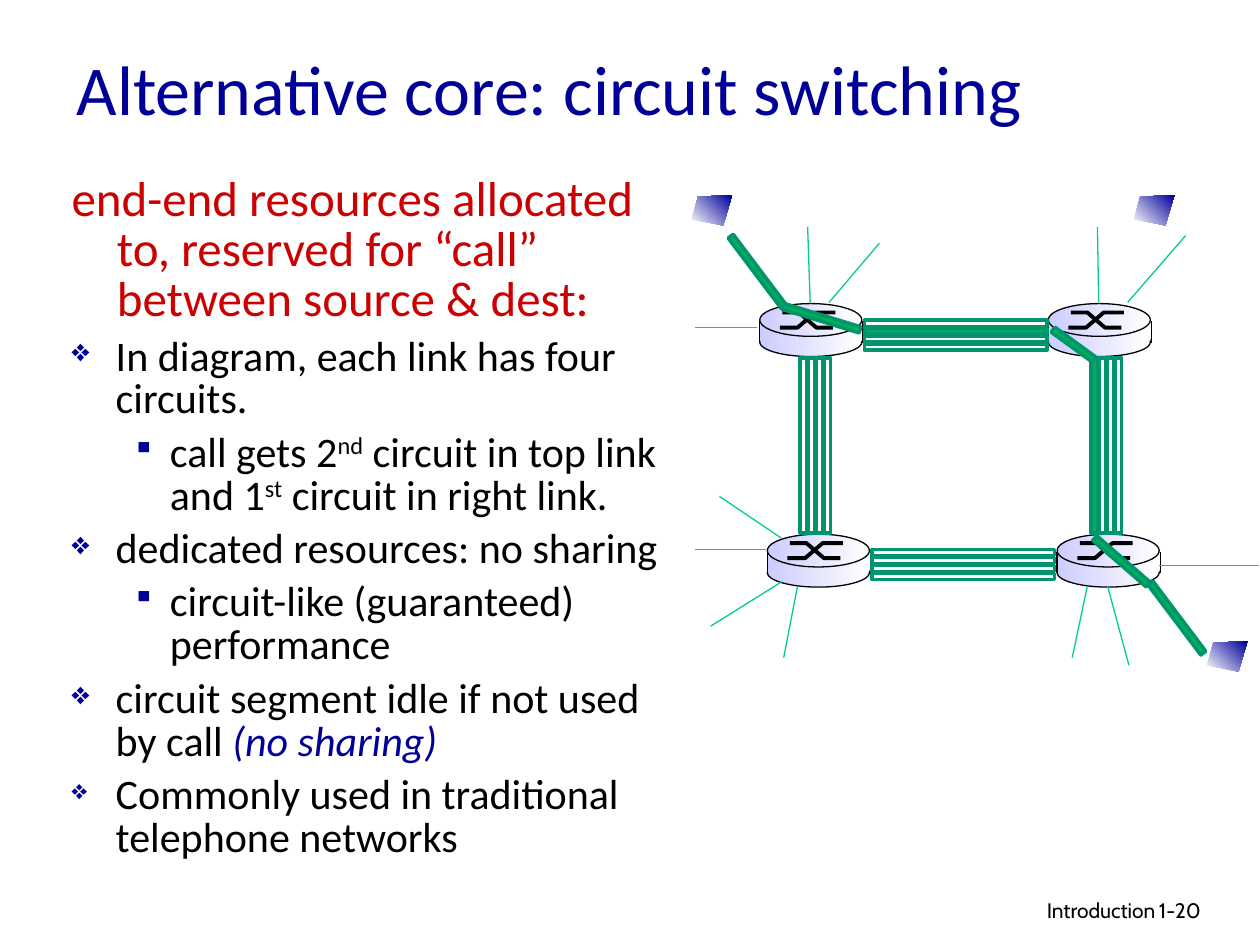
import dataclasses

import pptx
import pptx.dml.color
import pptx.enum.shapes
import pptx.enum.text
import pptx.oxml.ns
import pptx.util
from lxml import etree

Inches = pptx.util.Inches
Pt = pptx.util.Pt
Shapes = pptx.enum.shapes.MSO_SHAPE
Align = pptx.enum.text.PP_ALIGN
Anchor = pptx.enum.text.MSO_ANCHOR
qn = pptx.oxml.ns.qn


@dataclasses.dataclass
class Theme:
    navy: str = "000099"
    red: str = "CC0000"
    black: str = "000000"
    white: str = "FFFFFF"
    lavender: str = "CCCCFF"
    link: str = "00956F"
    reserved: str = "00B050"
    access: str = "00CC98"
    font: str = "Calibri"
    footer_font: str = "Cabin"
    title_size: float = 40
    lead_size: float = 28
    body_size: float = 24
    footer_size: float = 12


def rgb(color):
    return pptx.dml.color.RGBColor.from_string(color)


class Deck:
    def __init__(self, theme):
        self.theme = theme
        self.presentation = pptx.Presentation()
        self.presentation.slide_width = Inches(10)
        self.presentation.slide_height = Inches(7.5)
        self.slide = self.presentation.slides.add_slide(self.presentation.slide_layouts[6])

    def text_frame(self, left, top, width, height, anchor=Anchor.TOP):
        box = self.slide.shapes.add_textbox(*map(Inches, (left, top, width, height)))
        frame = box.text_frame
        frame.word_wrap = True
        frame.vertical_anchor = anchor
        return frame

    def run(self, paragraph, words, size, color, font=None, italic=False, raised=False):
        run = paragraph.add_run()
        run.text = words
        run.font.size = Pt(size)
        run.font.name = font or self.theme.font
        run.font.color.rgb = rgb(color)
        run.font.italic = italic
        if raised:
            run._r.get_or_add_rPr().set("baseline", "30000")

    def indent(self, paragraph, left, hanging, before):
        paragraph.line_spacing = 0.85
        paragraph.space_before = Pt(before)
        properties = paragraph._p.get_or_add_pPr()
        properties.set("marL", str(Inches(left)))
        properties.set("indent", str(-Inches(hanging)))
        return properties

    def bullet(self, paragraph, level, percent):
        left, hanging, mark = ((0.37, 0.35, "❖"), (0.8, 0.3, "▪"))[level]
        paragraph.level = level
        properties = self.indent(paragraph, left, hanging, 6)
        color = etree.SubElement(properties, qn("a:buClr"))
        etree.SubElement(color, qn("a:srgbClr"), val=self.theme.navy)
        etree.SubElement(properties, qn("a:buSzPct"), val=str(percent * 1000))
        etree.SubElement(properties, qn("a:buChar"), char=mark)

    def paint(self, shape, fill=None, line=None, weight=0.75, gradient=None):
        shape.shadow.inherit = False
        if gradient:
            end_color, angle = gradient
            shape.fill.gradient()
            shape.fill.gradient_angle = angle
            for stop, color, position in zip(
                shape.fill.gradient_stops, (self.theme.white, end_color), (0, 1)
            ):
                stop.color.rgb = rgb(color)
                stop.position = position
        elif fill:
            shape.fill.solid()
            shape.fill.fore_color.rgb = rgb(fill)
        else:
            shape.fill.background()
        if line:
            shape.line.color.rgb = rgb(line)
            shape.line.width = Pt(weight)
        else:
            shape.line.fill.background()

    def preset(self, kind, left, top, width, height, rotation=0, **paint):
        shape = self.slide.shapes.add_shape(kind, *map(Inches, (left, top, width, height)))
        shape.rotation = rotation
        self.paint(shape, **paint)

    def outline(self, left, top, points, close=False, **paint):
        spots = [(Inches(left + x), Inches(top + y)) for x, y in points]
        builder = self.slide.shapes.build_freeform(*spots[0])
        builder.add_line_segments(spots[1:], close=close)
        self.paint(builder.convert_to_shape(), **paint)

    def line(self, x1, y1, x2, y2, color):
        connector = self.slide.shapes.add_connector(
            pptx.enum.shapes.MSO_CONNECTOR.STRAIGHT, *map(Inches, (x1, y1, x2, y2))
        )
        connector.line.color.rgb = rgb(color)
        connector.line.width = Pt(0.75)
        etree.SubElement(connector._element.spPr, qn("a:effectLst"))

    def host(self, left, top):
        corners = [(0.32, 0), (0.05, 0.01), (0, 0.19), (0.25, 0.24)]
        self.outline(left, top, corners, close=True, gradient=(self.theme.navy, 45))

    def router(self, left, top):
        black = self.theme.black
        shade = (self.theme.lavender, 180)
        for kind, drop, height, edge in (
            (Shapes.OVAL, 0.19, 0.23, black),
            (Shapes.RECTANGLE, 0.17, 0.13, None),
            (Shapes.OVAL, 0, 0.26, black),
        ):
            self.preset(kind, left, top + drop, 0.81, height, gradient=shade, line=edge)
        rising = [(0.16, 0.19), (0.3, 0.19), (0.44, 0.07), (0.6, 0.07)]
        falling = [(0.18, 0.07), (0.31, 0.07), (0.45, 0.19), (0.58, 0.19)]
        for strand in (rising, falling):
            self.outline(left, top, strand, line=black, weight=2.25)
        for side in (left, left + 0.82):
            self.line(side, top + 0.14, side, top + 0.31, black)

    def circuit(self, left, top, length, rotation=0, reserved=True):
        self.preset(Shapes.RECTANGLE, left, top, length, 0.05, rotation, line=self.theme.link,
                    weight=2, fill=self.theme.reserved if reserved else None)

    def link(self, left, top, length, rotation=0, reserved=None):
        for lane in range(4):
            shift = 0.19 * lane / 3
            across, down = (shift, 0) if rotation else (0, shift)
            self.circuit(left + across, top + down, length, rotation, lane == reserved)


def write_text(deck):
    theme = deck.theme
    title = deck.text_frame(0.51, 0.3, 8.5, 0.79, Anchor.MIDDLE).paragraphs[0]
    deck.run(title, "Alternative core: circuit switching", theme.title_size, theme.navy)

    body = deck.text_frame(0.45, 1.35, 4.88, 5.08)
    lead = body.paragraphs[0]
    deck.indent(lead, 0.38, 0.36, 7)
    deck.run(lead, "end-end resources allocated to, reserved for “call” between source & dest:",
             theme.lead_size, theme.red)
    raised = {"raised": True}
    points = [
        (0, 75, [("In diagram, each link has four circuits.", {})]),
        (1, 75, [("call gets 2", {}), ("nd", raised), (" circuit in top link and 1", {}),
                 ("st", raised), (" circuit in right link.", {})]),
        (0, 75, [("dedicated resources: no sharing", {})]),
        (1, 75, [("circuit-like (guaranteed) performance", {})]),
        (0, 75, [("circuit segment idle if not used by call ", {}),
                 ("(no sharing)", {"italic": True, "color": theme.navy})]),
        (0, 65, [("Commonly used in traditional telephone networks", {})]),
    ]
    for level, percent, pieces in points:
        point = body.add_paragraph()
        deck.bullet(point, level, percent)
        for words, style in pieces:
            deck.run(point, words, theme.body_size, **{"color": theme.black, **style})

    for words, left, width, align in (("Introduction", 6.1, 3.17, Align.RIGHT),
                                      ("1-20", 9.1, 0.74, Align.LEFT)):
        footer = deck.text_frame(left, 7.07, width, 0.31).paragraphs[0]
        footer.alignment = align
        deck.run(footer, words, theme.footer_size, theme.black, theme.footer_font)


def draw_network(deck):
    for corner in ((5.49, 1.55), (9.58, 5.09), (9, 1.55)):
        deck.host(*corner)
    for corner in ((6.03, 2.41), (8.32, 2.41), (6.09, 4.24), (8.39, 4.24)):
        deck.router(*corner)
    deck.link(6.86, 2.54, 1.45, reserved=1)
    deck.link(6.92, 4.36, 1.45)
    deck.link(5.68, 3.51, 1.39, rotation=90)
    deck.link(7.99, 3.51, 1.39, rotation=90, reserved=0)
    for ends in (
        (6.41, 1.8, 6.43, 2.4), (6.98, 1.93, 6.58, 2.4), (5.52, 2.6, 6.01, 2.6),
        (5.52, 4.36, 6.08, 4.36), (5.71, 3.94, 6.2, 4.27), (5.64, 4.97, 6.2, 4.62),
        (6.22, 5.22, 6.33, 4.65), (9.99, 4.49, 9.2, 4.49), (8.96, 5.28, 8.79, 4.65),
        (8.51, 5.22, 8.63, 4.65), (8.71, 1.8, 8.72, 2.4), (9.41, 1.87, 8.95, 2.4),
    ):
        deck.line(*ends, deck.theme.access)
    for segment in ((5.66, 2.13, 0.7, 53), (8.99, 4.88, 0.7, 53), (6.2, 2.5, 0.64, 17),
                    (8.62, 4.43, 0.56, 41), (8.32, 2.71, 0.4, 36)):
        deck.circuit(*segment)


if __name__ == "__main__":
    deck = Deck(Theme())
    write_text(deck)
    draw_network(deck)
    deck.presentation.save("out.pptx")
